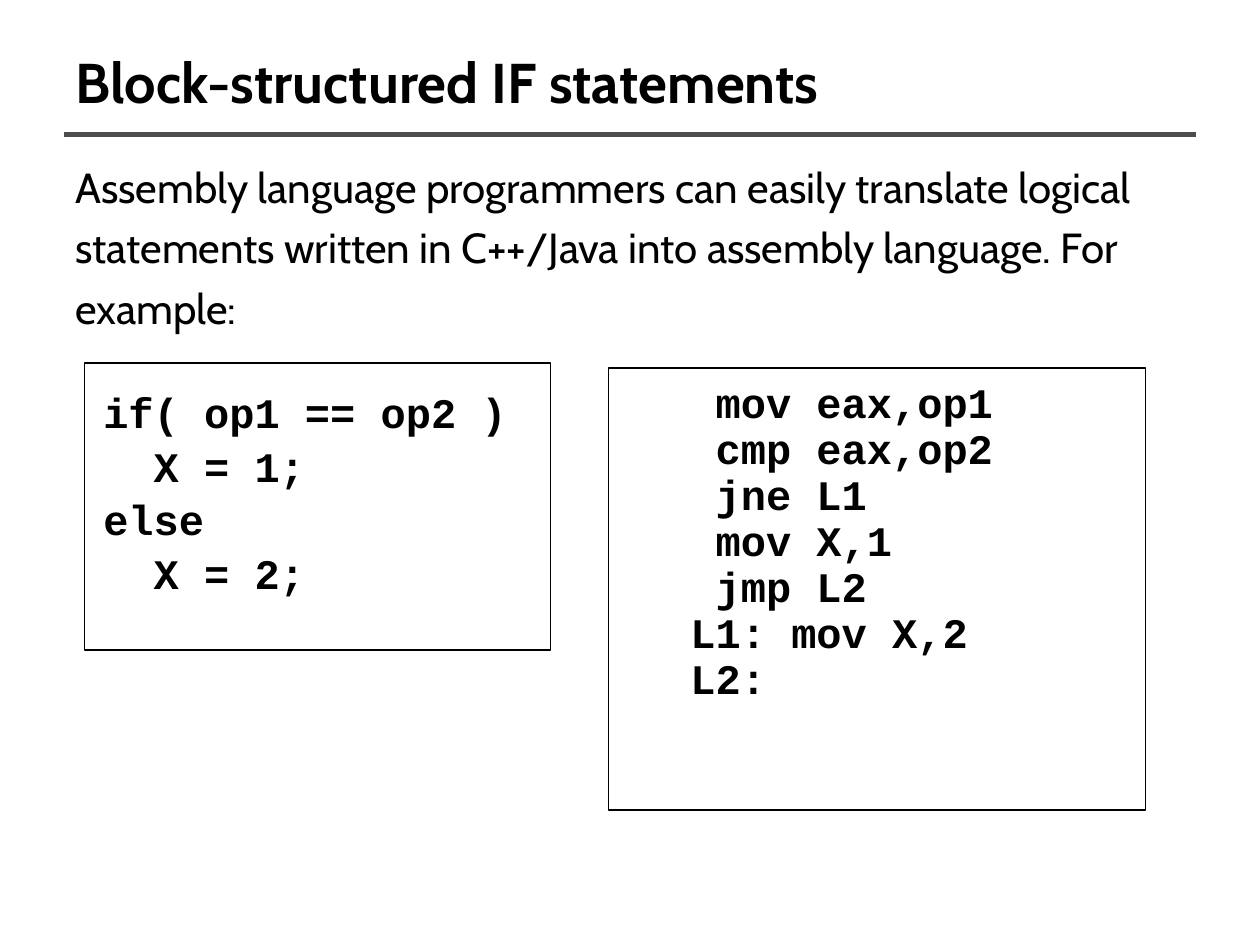
"""Build a slide that sets an IF statement beside its assembly translation."""
import pptx
import pptx.dml.color
import pptx.enum.shapes
import pptx.enum.text
import pptx.util
from lxml import etree

Inches, Pt = pptx.util.Inches, pptx.util.Pt
ANCHOR = pptx.enum.text.MSO_ANCHOR
BLACK = pptx.dml.color.RGBColor(0, 0, 0)
GRAY = pptx.dml.color.RGBColor(0x4D, 0x4D, 0x4D)

TITLE = ["Block-structured IF statements"]
INTRO = [
    "Assembly language programmers can easily translate logical statements "
    "written in C++/Java into assembly language. For example:"
]
ASSEMBLY = [
    " mov eax,op1",
    " cmp eax,op2",
    " jne L1",
    " mov X,1",
    " jmp L2",
    "L1: mov X,2",
    "L2:",
]
SOURCE = ["if( op1 == op2 )", "  X = 1;", "else", "  X = 2;"]

TITLE_FONT = {"name": "Cabin", "size": Pt(32), "bold": True}
INTRO_FONT = {"name": "Cabin", "size": Pt(24), "bold": False}
CODE_FONT = {"name": "Courier New", "size": Pt(24), "bold": True}


def set_values(target, values):
    """Set each named attribute of the target."""
    for name, value in values.items():
        setattr(target, name, value)


def write_lines(box, lines, font, spacing, gap=0, anchor=ANCHOR.TOP, inset=(0.1, 0.05), indent=0):
    """Write one paragraph per line into the box."""
    frame = box.text_frame
    across, down = map(Inches, inset)
    set_values(frame, {
        "word_wrap": True, "vertical_anchor": anchor,
        "margin_left": across, "margin_right": across,
        "margin_top": down, "margin_bottom": down,
    })
    for index, line in enumerate(lines):
        para = frame.add_paragraph() if index else frame.paragraphs[0]
        para.alignment = pptx.enum.text.PP_ALIGN.LEFT
        para.line_spacing = spacing
        if index:
            para.space_before = Pt(gap)
        if indent:
            para._p.get_or_add_pPr().set("marL", str(Inches(indent)))
        span = para.add_run()
        span.text = line
        set_values(span.font, font)
        span.font.color.rgb = BLACK


def add_code(page, place, lines, spacing, gap, indent=0):
    """Add an outlined box of code."""
    box = page.shapes.add_shape(pptx.enum.shapes.MSO_SHAPE.RECTANGLE, *map(Inches, place))
    box.shadow.inherit = False
    box.fill.background()
    box.line.color.rgb = BLACK
    box.line.width = Pt(0.75)
    write_lines(box, lines, CODE_FONT, Pt(spacing), gap, inset=(0.15, 0.2), indent=indent)


def main():
    """Build and save the deck."""
    deck = pptx.Presentation()
    deck.slide_width, deck.slide_height = Inches(10), Inches(7.5)
    page = deck.slides.add_slide(deck.slide_layouts[6])

    rule = page.shapes.add_connector(
        pptx.enum.shapes.MSO_CONNECTOR.STRAIGHT, *map(Inches, (0.51, 1.07, 9.49, 1.07)))
    rule.line.color.rgb = GRAY
    rule.line.width = Pt(3)
    etree.SubElement(rule._element.spPr, pptx.oxml.ns.qn("a:effectLst"))

    title = page.shapes.add_textbox(*map(Inches, (0.5, 0.3, 9, 0.69)))
    write_lines(title, TITLE, TITLE_FONT, 1.0, anchor=ANCHOR.MIDDLE)
    intro = page.shapes.add_textbox(*map(Inches, (0.5, 1.15, 9, 1.72)))
    write_lines(intro, INTRO, INTRO_FONT, 1.2)

    add_code(page, (4.83, 2.92, 4.26, 3.51), ASSEMBLY, 19.2, 7.1, indent=0.5)
    add_code(page, (0.67, 2.88, 3.7, 2.28), SOURCE, 27.7, 3.1)
    deck.save("out.pptx")


if __name__ == "__main__":
    main()
